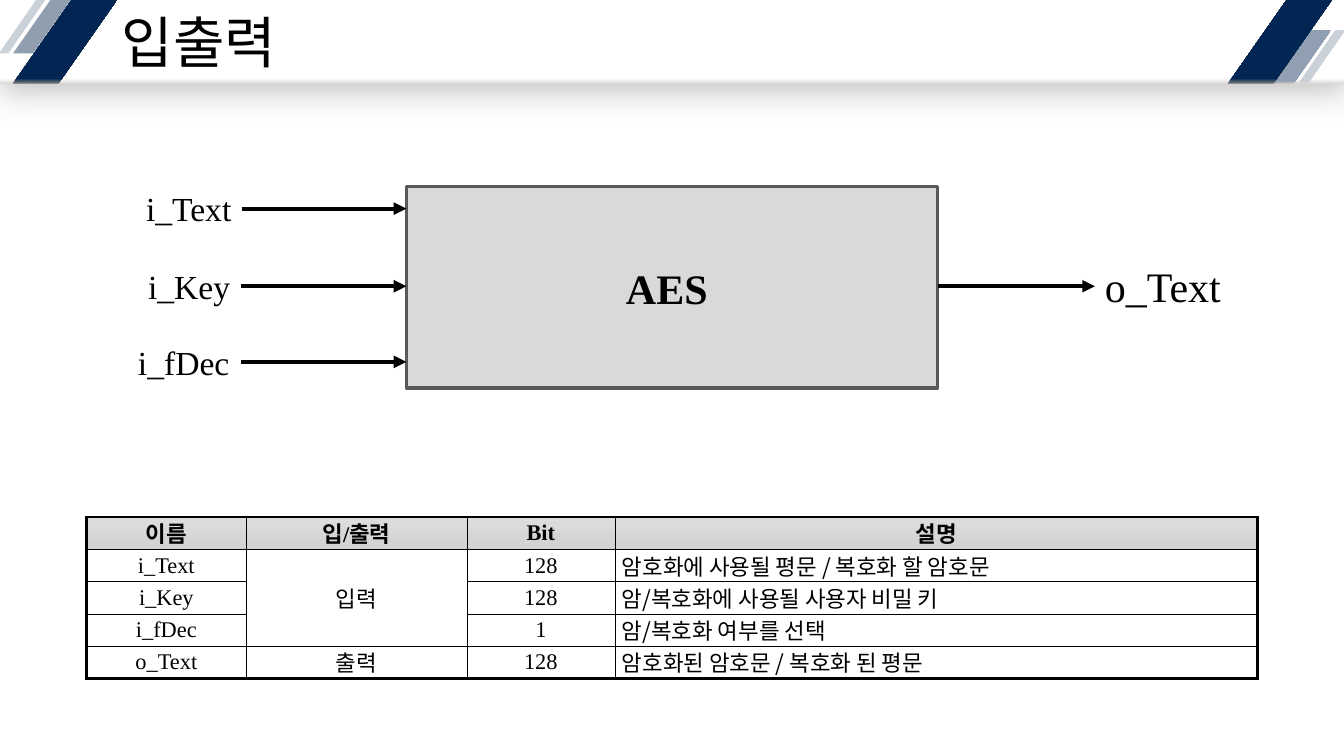
import pptx
import pptx.util
import pptx.dml.color
import pptx.enum.dml
import pptx.enum.shapes
import pptx.enum.text
import pptx.oxml
from dataclasses import dataclass
from lxml import etree

Inches, Pt = pptx.util.Inches, pptx.util.Pt
SHAPE = pptx.enum.shapes.MSO_SHAPE
ALIGN = pptx.enum.text.PP_ALIGN
ANCHOR = pptx.enum.text.MSO_ANCHOR
NS = "http://schemas.openxmlformats.org/drawingml/2006/main"


@dataclass(frozen=True)
class Theme:
    latin: str = "Times New Roman"
    korean: str = "Noto Sans CJK KR"
    ink: str = "000000"
    paper: str = "FFFFFF"
    navy: str = "022653"
    slate: str = "7A8BA1"
    steel: str = "909FB1"
    mist: str = "CAD1D9"
    box: str = "D9D9D9"
    box_edge: str = "595959"
    edge_dark: str = "808080"
    edge_mid: str = "BFBFBF"
    shadow: str = "767171"
    head_top: str = "DDDDDD"
    head_bottom: str = "D2D2D2"
    title_size: int = 40
    large: int = 30
    label: int = 24
    cell: int = 16
    arrow: float = 3
    thick: float = 2.25
    thin: float = 0.25


THEME = Theme()


def rgb(value):
    return pptx.dml.color.RGBColor.from_string(value)


def xml(markup):
    """Parse a DrawingML element written with the a: prefix."""
    tag, rest = markup[:-2].split(" ", 1) if " " in markup else (markup[:-2], "")
    if markup.endswith("/>") and markup.count("<") == 1:
        return pptx.oxml.parse_xml(f'{tag} xmlns:a="{NS}" {rest}/>')
    head, tail = markup.split(">", 1)
    return pptx.oxml.parse_xml(f'{head} xmlns:a="{NS}">{tail}')


def write(frame, text, size, font=THEME.latin, color=THEME.ink, bold=False,
          align=ALIGN.LEFT, anchor=ANCHOR.TOP, spacing=None):
    """Put one formatted paragraph in a text frame."""
    frame.vertical_anchor = anchor
    paragraph = frame.paragraphs[0]
    paragraph.alignment = align
    if spacing:
        paragraph.line_spacing = spacing
    run = paragraph.add_run()
    run.text = text
    run.font.name, run.font.size, run.font.bold = font, Pt(size), bold
    run.font.color.rgb = rgb(color)
    run.font._element.find(f"{{{NS}}}latin").addnext(
        xml(f'<a:ea typeface="{THEME.korean}"/>'))


def paint(fill, colors, end=1.0, angle=90):
    """Fill with one colour, or with a gradient between two."""
    if isinstance(colors, str):
        fill.solid()
        fill.fore_color.rgb = rgb(colors)
        return
    fill.gradient()
    fill.gradient_angle = angle
    for stop, color, position in zip(fill.gradient_stops, colors, (0, end)):
        stop.color.rgb = rgb(color)
        stop.position = position


class SlideBuilder:
    def __init__(self, slide, theme):
        self.slide, self.theme = slide, theme

    def shape(self, kind, left, top, width, height, colors, end=0.06, line=None):
        item = self.slide.shapes.add_shape(
            kind, Inches(left), Inches(top), Inches(width), Inches(height))
        item.shadow.inherit = False
        paint(item.fill, colors, end)
        if line:
            item.line.color.rgb, item.line.width = rgb(line), Pt(self.theme.thick)
        else:
            item.line.fill.background()
        return item

    def stripe(self, left, top, width, height, slant, colors, alpha=None):
        item = self.shape(SHAPE.PARALLELOGRAM, left, top, width, height, colors)
        item.adjustments[0] = slant
        if alpha:
            color = item._element.spPr.find(f".//{{{NS}}}srgbClr")
            color.append(xml(f'<a:alpha val="{alpha * 1000}"/>'))

    def header_bar(self, width, height):
        t = self.theme
        bar = self.shape(SHAPE.RECTANGLE, 0, 0, width, height, (t.box, t.paper))
        effects = bar._element.spPr.find(f"{{{NS}}}effectLst")
        effects.append(xml(
            f'<a:outerShdw blurRad="{Pt(24)}" dist="{Pt(3)}" dir="{80 * 60000}" '
            f'algn="t" rotWithShape="0"><a:srgbClr val="{t.shadow}">'
            '<a:alpha val="50000"/></a:srgbClr></a:outerShdw>'))

    def title(self, text, left, top, width, height):
        title = self.slide.shapes.title
        title.left, title.top = Inches(left), Inches(top)
        title.width, title.height = Inches(width), Inches(height)
        frame = title.text_frame
        frame.auto_size = pptx.enum.text.MSO_AUTO_SIZE.NONE
        frame.margin_left = frame.margin_right = Inches(1.06)
        frame.margin_top, frame.margin_bottom = Inches(0.12), Inches(0.04)
        write(frame, text, self.theme.title_size, anchor=ANCHOR.MIDDLE, spacing=0.9)
        self.slide.shapes._spTree.append(title._element)  # in front of the bar

    def label(self, text, left, top, width, height, size):
        box = self.slide.shapes.add_textbox(
            Inches(left), Inches(top), Inches(width), Inches(height))
        box.text_frame.word_wrap = False
        box.text_frame.auto_size = pptx.enum.text.MSO_AUTO_SIZE.SHAPE_TO_FIT_TEXT
        write(box.text_frame, text, size)

    def arrow(self, start, end, y):
        line = self.slide.shapes.add_connector(
            pptx.enum.shapes.MSO_CONNECTOR.STRAIGHT,
            Inches(start), Inches(y), Inches(end), Inches(y))
        line.line.color.rgb, line.line.width = rgb(self.theme.ink), Pt(self.theme.arrow)
        line.line._get_or_add_ln().append(xml('<a:tailEnd type="triangle"/>'))
        line._element.spPr.append(xml("<a:effectLst/>"))

    def borders(self, cell, outer_sides):
        properties = cell._tc.get_or_add_tcPr()
        for index, side in enumerate("LRTB"):
            width = self.theme.thick if side in outer_sides else self.theme.thin
            properties.insert(index, xml(
                f'<a:ln{side} w="{Pt(width)}"><a:solidFill>'
                f'<a:srgbClr val="{self.theme.ink}"/></a:solidFill></a:ln{side}>'))

    def table(self, rows, left, top, widths, row_height):
        t, last_row, last_column = self.theme, len(rows) - 1, len(widths) - 1
        table = self.slide.shapes.add_table(
            len(rows), len(widths), Inches(left), Inches(top),
            Inches(sum(widths)), Inches(row_height * len(rows))).table
        for column, width in zip(table.columns, widths):
            column.width = Inches(width)
        for r, row in enumerate(rows):
            table.rows[r].height = Inches(row_height)
            for c, text in enumerate(row):
                cell, described = table.cell(r, c), r > 0 and c == last_column
                cell.margin_left = Inches(0.07 if described else 0)
                cell.margin_right = cell.margin_top = cell.margin_bottom = 0
                cell.vertical_anchor = ANCHOR.MIDDLE
                if r == 0:
                    paint(cell.fill, (t.head_top, t.head_bottom), angle=270)
                else:
                    paint(cell.fill, t.paper)
                edges = {"L": c == 0, "R": c == last_column,
                         "T": r == 0, "B": r == last_row}
                self.borders(cell, [side for side, outer in edges.items() if outer])
                if text:
                    write(cell.text_frame, text, t.cell, bold=r == 0,
                          font=t.korean if described else t.latin,
                          align=ALIGN.LEFT if described else ALIGN.CENTER,
                          anchor=ANCHOR.MIDDLE)
        return table


def main():
    deck = pptx.Presentation()
    deck.slide_width, deck.slide_height = Inches(13.33), Inches(7.5)
    t = THEME
    page = SlideBuilder(deck.slides.add_slide(deck.slide_layouts[5]), t)

    # Header with slanted stripes
    page.header_bar(13.33, 0.83)
    page.stripe(0.13, 0, 0.57, 0.53, 0.7, t.slate, alpha=83)
    page.stripe(0.13, 0, 1.03, 0.83, 0.7, (t.edge_dark, t.navy))
    page.stripe(-0.01, 0, 0.46, 0.53, 0.8, t.mist)
    page.stripe(12.63, 0.3, 0.57, 0.53, 0.7, (t.edge_mid, t.steel))
    page.stripe(12.18, 0, 1.03, 0.83, 0.7, (t.edge_dark, t.navy))
    page.stripe(12.88, 0.3, 0.46, 0.53, 0.8, (t.box, t.mist))
    page.title("입출력", 0.15, 0, 8.76, 0.83)

    # AES block with its inputs and output
    aes = page.shape(SHAPE.RECTANGLE, 4.03, 1.85, 5.27, 2, t.box, line=t.box_edge)
    aes.text_frame.margin_right = Inches(0.2)
    write(aes.text_frame, "AES", t.large, bold=True,
          align=ALIGN.CENTER, anchor=ANCHOR.MIDDLE)
    for signal, left, width, y in (("i_Text", 1.35, 1.05, 2.07),
                                   ("i_Key", 1.37, 1.02, 2.84),
                                   ("i_fDec", 1.27, 1.12, 3.59)):
        page.label(signal, left, y - 0.25, width, 0.5, t.label)
        page.arrow(left + width, 4.03, y)
    page.arrow(9.3, 10.86, 2.84)
    page.label("o_Text", 10.86, 2.54, 1.37, 0.61, t.large)

    # Signal table
    signals = page.table([
        ("이름", "입/출력", "Bit", "설명"),
        ("i_Text", "입력", "128", "암호화에 사용될 평문 / 복호화 할 암호문"),
        ("i_Key", "", "128", "암/복호화에 사용될 사용자 비밀 키"),
        ("i_fDec", "", "1", "암/복호화 여부를 선택"),
        ("o_Text", "출력", "128", "암호화된 암호문 / 복호화 된 평문"),
    ], 0.86, 5.13, (1.58, 2.19, 1.47, 6.37), 0.32)
    signals.cell(1, 1).merge(signals.cell(3, 1))

    deck.save("out.pptx")


if __name__ == "__main__":
    main()
